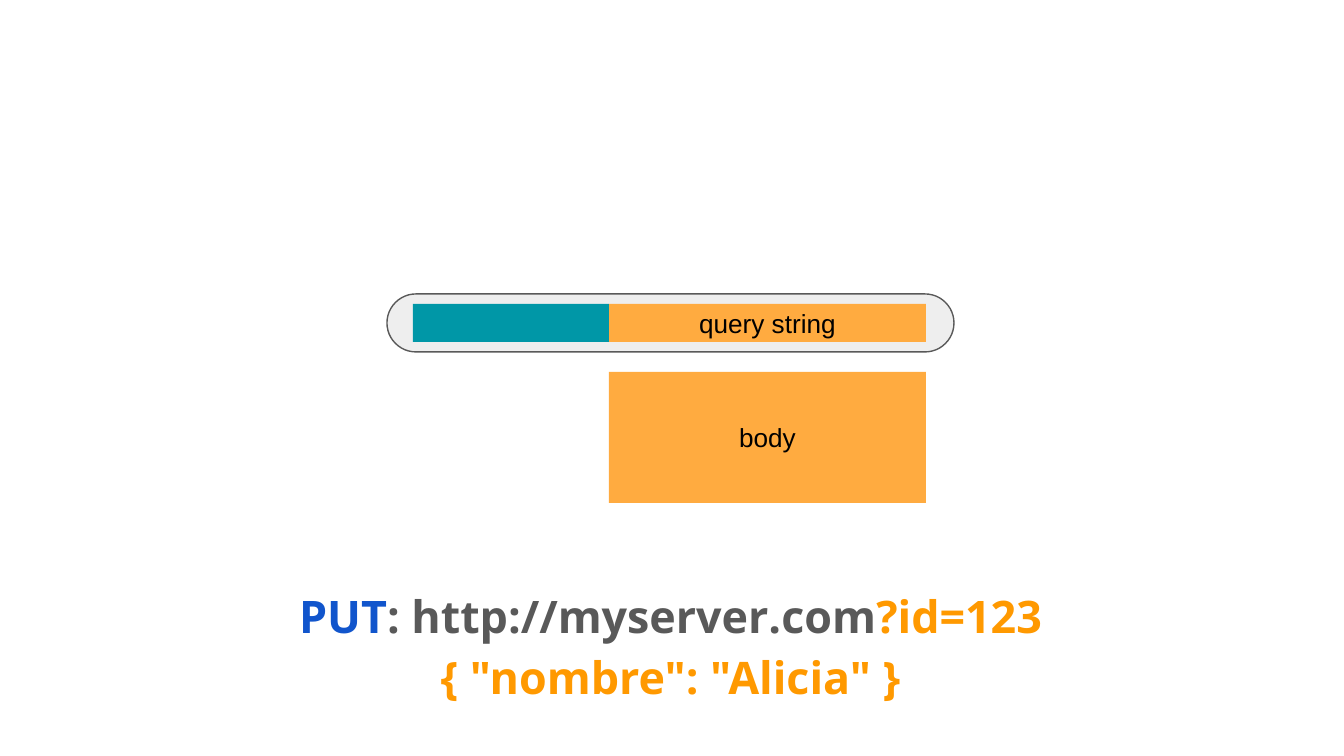
import pptx
import pptx.util
import pptx.dml.color
import pptx.enum.shapes
import pptx.enum.text

RGBColor = pptx.dml.color.RGBColor
SHAPE = pptx.enum.shapes.MSO_SHAPE
ANCHOR = pptx.enum.text.MSO_ANCHOR

PX = 914400 / 134.4
PAGE_SIZE = (1344, 756)
INSET = pptx.util.Inches(0.1)

BLACK = RGBColor(0x00, 0x00, 0x00)
GRAY = RGBColor(0x59, 0x59, 0x59)
PALE = RGBColor(0xEE, 0xEE, 0xEE)
TEAL = RGBColor(0x00, 0x97, 0xA7)
AMBER = RGBColor(0xFF, 0xAB, 0x40)
ORANGE = RGBColor(0xFF, 0x99, 0x00)
BLUE = RGBColor(0x11, 0x55, 0xCC)

CAPSULE = (387, 294, 567, 58)
BLOCKS = [
    ("query string", (609, 304, 317, 38), AMBER),
    ("", (413, 304, 196, 38), TEAL),
    ("body", (609, 372, 317, 131), AMBER),
]
REQUEST_LINES = [
    [("PUT", BLUE), (": http://myserver.com", GRAY), ("?id=123", ORANGE)],
    [('{ "nombre": "Alicia" }', ORANGE)],
]
REQUEST_LEFT, REQUEST_TOP, REQUEST_STEP = 46, 567, 61
REQUEST_WIDTH, REQUEST_HEIGHT = 1249, 113


def emu(lengths):
    return [round(length * PX) for length in lengths]


def write(box, spans, font, size, bold=False, anchor=ANCHOR.TOP, spacing=1.0, after=0):
    frame = box.text_frame
    frame.word_wrap = True
    frame.vertical_anchor = anchor
    frame.margin_left = frame.margin_right = INSET
    frame.margin_top = frame.margin_bottom = INSET
    para = frame.paragraphs[0]
    para.alignment = pptx.enum.text.PP_ALIGN.CENTER
    para.line_spacing = spacing
    para.space_after = pptx.util.Pt(after)
    for text, color in spans:
        span = para.add_run()
        span.text = text
        span.font.name = font
        span.font.size = pptx.util.Pt(size)
        span.font.bold = bold
        span.font.color.rgb = color


def add_block(page, kind, bounds, fill):
    block = page.shapes.add_shape(kind, *emu(bounds))
    block.shadow.inherit = False
    block.fill.solid()
    block.fill.fore_color.rgb = fill
    block.line.fill.background()
    return block


deck = pptx.Presentation()
deck.slide_width, deck.slide_height = emu(PAGE_SIZE)
page = deck.slides.add_slide(deck.slide_layouts[6])

capsule = add_block(page, SHAPE.ROUNDED_RECTANGLE, CAPSULE, PALE)
capsule.adjustments[0] = 0.5
capsule.line.color.rgb = GRAY
capsule.line.width = pptx.util.Pt(0.75)

for label, bounds, fill in BLOCKS:
    block = add_block(page, SHAPE.RECTANGLE, bounds, fill)
    if label:
        write(block, [(label, BLACK)], "Arial", 14, anchor=ANCHOR.MIDDLE)

for index, spans in enumerate(REQUEST_LINES):
    top = REQUEST_TOP + index * REQUEST_STEP
    bounds = (REQUEST_LEFT, top, REQUEST_WIDTH, REQUEST_HEIGHT)
    box = page.shapes.add_textbox(*emu(bounds))
    write(box, spans, "Open Sans", 24, bold=True, spacing=1.15, after=12)

deck.save("out.pptx")
